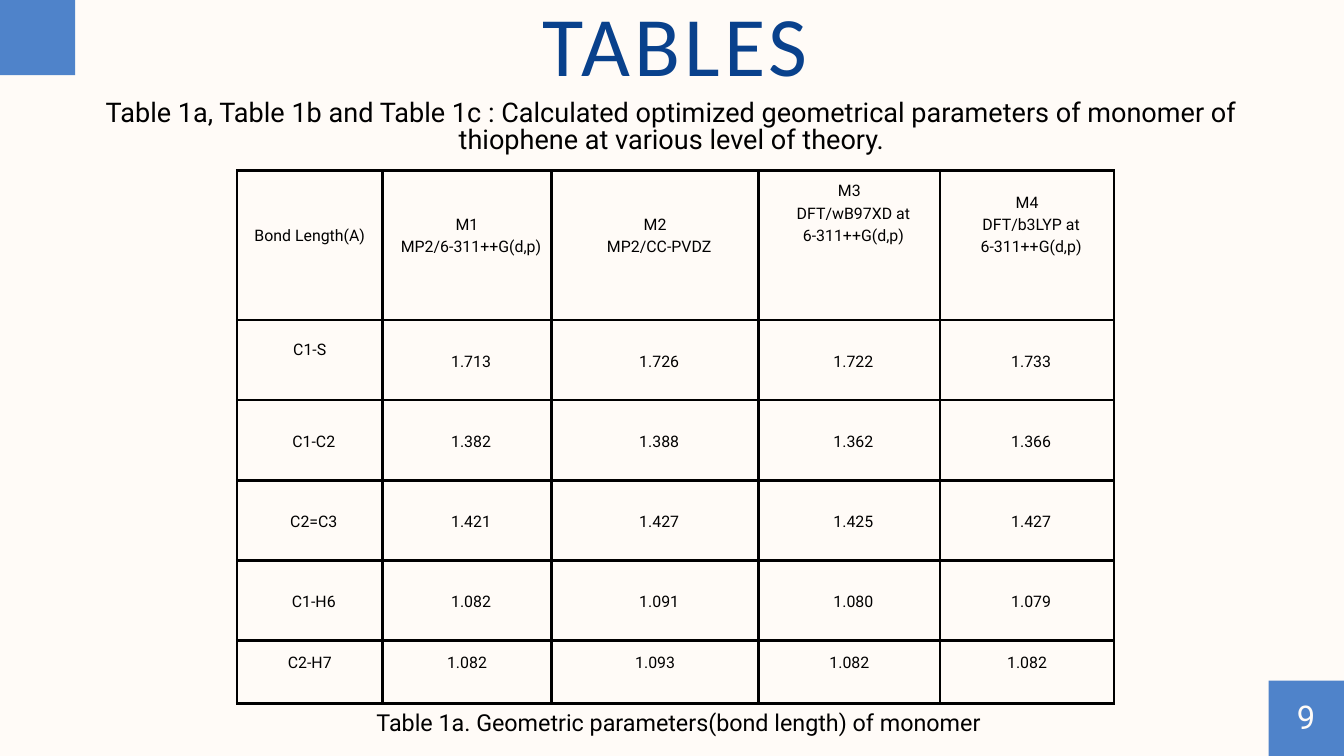
from lxml.etree import SubElement
from pptx import Presentation
from pptx.dml.color import RGBColor
from pptx.enum.shapes import MSO_SHAPE as Shape
from pptx.enum.text import MSO_ANCHOR as Anchor, PP_ALIGN as Align
from pptx.oxml.ns import qn
from pptx.util import Inches, Pt


def rgb(code):
    return RGBColor.from_string(code)


def style(para, size, color="000000", face="Roboto", lead=None):
    para.alignment = Align.CENTER
    para.line_spacing = Pt(lead or size)
    para.font.size = Pt(size)
    para.font.name = face
    para.font.color.rgb = rgb(color)


deck = Presentation()
deck.slide_width, deck.slide_height = Inches(20), Inches(11.25)
slide = deck.slides.add_slide(deck.slide_layouts[6])
slide.background.fill.solid()
slide.background.fill.fore_color.rgb = rgb("FFFBF7")

side = 1.12
for left, top in [(20 - side, 11.25 - side), (0, 0)]:
    square = slide.shapes.add_shape(
        Shape.RECTANGLE, Inches(left), Inches(top), Inches(side), Inches(side))
    square.shadow.inherit = False
    square.fill.solid()
    square.fill.fore_color.rgb = rgb("155CBB")
    tint = square.fill._xPr.find(qn("a:solidFill"))[0]
    SubElement(tint, qn("a:alpha"), val="75000")
    square.line.fill.background()

widths = [2.16, 2.52, 3.08, 2.7, 2.59]
heights = [2.22, 1.19, 1.2, 1.19, 1.19, 0.94]
rows = [
    ["Bond Length(A)", "M1\nMP2/6-311++G(d,p)", "M2\nMP2/CC-PVDZ",
     "M3\nDFT/wB97XD at\n6-311++G(d,p)", "M4\nDFT/b3LYP at\n6-311++G(d,p)"],
    ["C1-S", "1.713", "1.726", "1.722", "1.733"],
    ["C1-C2", "1.382", "1.388", "1.362", "1.366"],
    ["C2=C3", "1.421", "1.427", "1.425", "1.427"],
    ["C1-H6", "1.082", "1.091", "1.080", "1.079"],
    ["C2-H7", "1.082", "1.093", "1.082", "1.082"],
]
lifts = {0: [1, 1, 1, 3, 2], 1: [1, 0, 0, 0, 0], 5: [1] * 5}
lead = 23.8
edge = 0.04
frame = slide.shapes.add_table(
    len(rows), len(widths), Inches(3.53), Inches(2.54),
    Inches(sum(widths)), Inches(sum(heights)))
table = frame.table
table.first_row = table.horz_banding = False
for col, width in zip(table.columns, widths):
    col.width = Inches(width)
for r, (row, height) in enumerate(zip(rows, heights)):
    table.rows[r].height = Inches(height)
    for c, text in enumerate(row):
        cell = table.cell(r, c)
        lift = lifts.get(r, [0] * 5)[c]
        cell.vertical_anchor = Anchor.MIDDLE
        cell.margin_left = cell.margin_right = cell.margin_top = Inches(edge)
        cell.margin_bottom = Inches(edge) + Pt(lead * lift)
        props = cell._tc.get_or_add_tcPr()
        for tag in ["a:lnL", "a:lnR", "a:lnT", "a:lnB"]:
            line = SubElement(props, qn(tag), w=str(Pt(3)))
            ink = SubElement(line, qn("a:solidFill"))
            SubElement(ink, qn("a:srgbClr"), val="000000")
        cell.fill.background()
        cell.text = text
        for n, para in enumerate(cell.text_frame.paragraphs):
            style(para, 17, lead=lead)
            if n or not lift:
                para._p.get_or_add_pPr().set("marL", str(Inches(0.12)))

topic = ("Table 1a, Table 1b and Table 1c : Calculated optimized geometrical "
         "parameters of monomer of thiophene at various level of theory.")
note = "Table 1a. Geometric parameters(bond length) of monomer"
labels = [
    ("TABLES", 3.65, 0.13, 12.79, 1.31, 90.6, "09418C", "Calibri"),
    (topic, 1.12, 1.5, 17.75, 0.81, 29, "000000", "Roboto"),
    ("9", 18.97, 10.47, 0.93, 0.5, 35, "FFFBF7", "Roboto"),
    (note, 1.22, 10.61, 17.75, 0.36, 25, "000000", "Roboto"),
]
for text, left, top, width, height, size, color, face in labels:
    box = slide.shapes.add_textbox(
        Inches(left), Inches(top), Inches(width), Inches(height))
    body = box.text_frame
    body.word_wrap = True
    body.margin_left = body.margin_right = 0
    body.margin_top = body.margin_bottom = 0
    body.text = text
    style(body.paragraphs[0], size, color, face)
    if text == "TABLES":
        body.paragraphs[0].runs[0].font._element.set("spc", "450")

deck.save("out.pptx")
